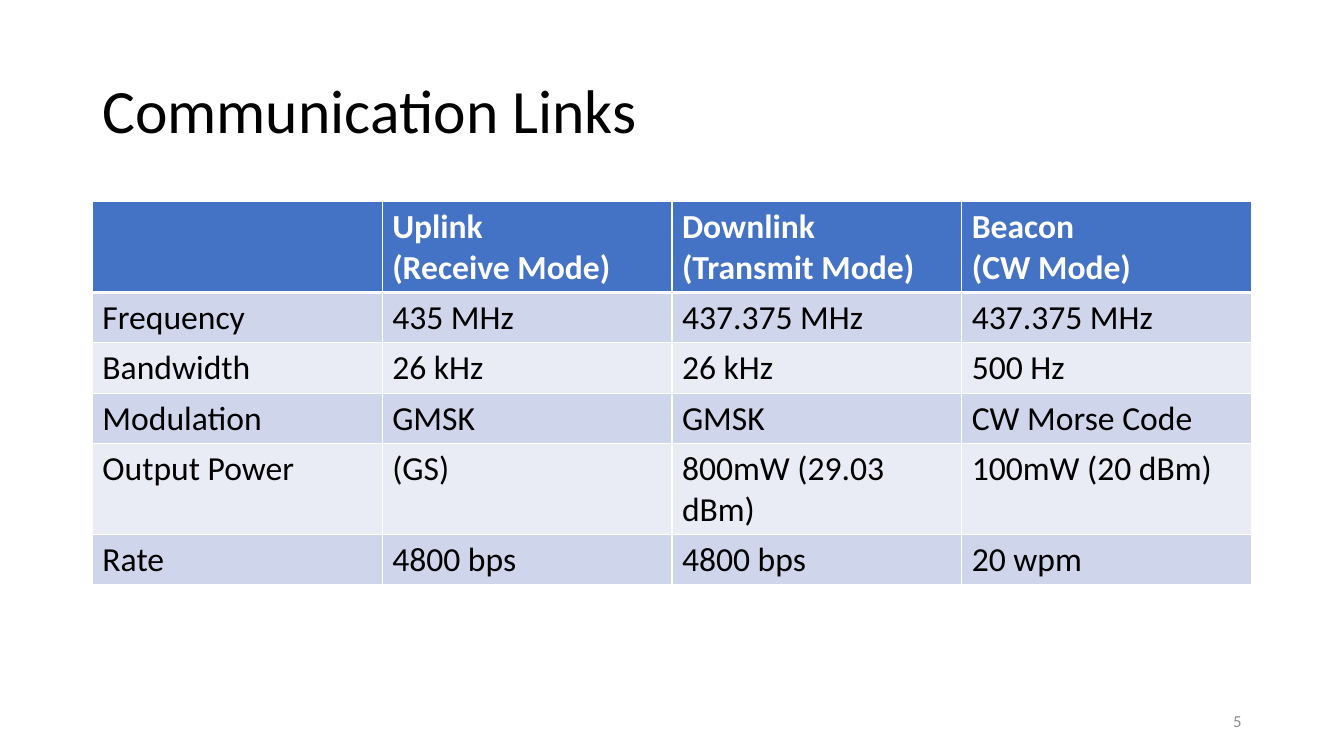
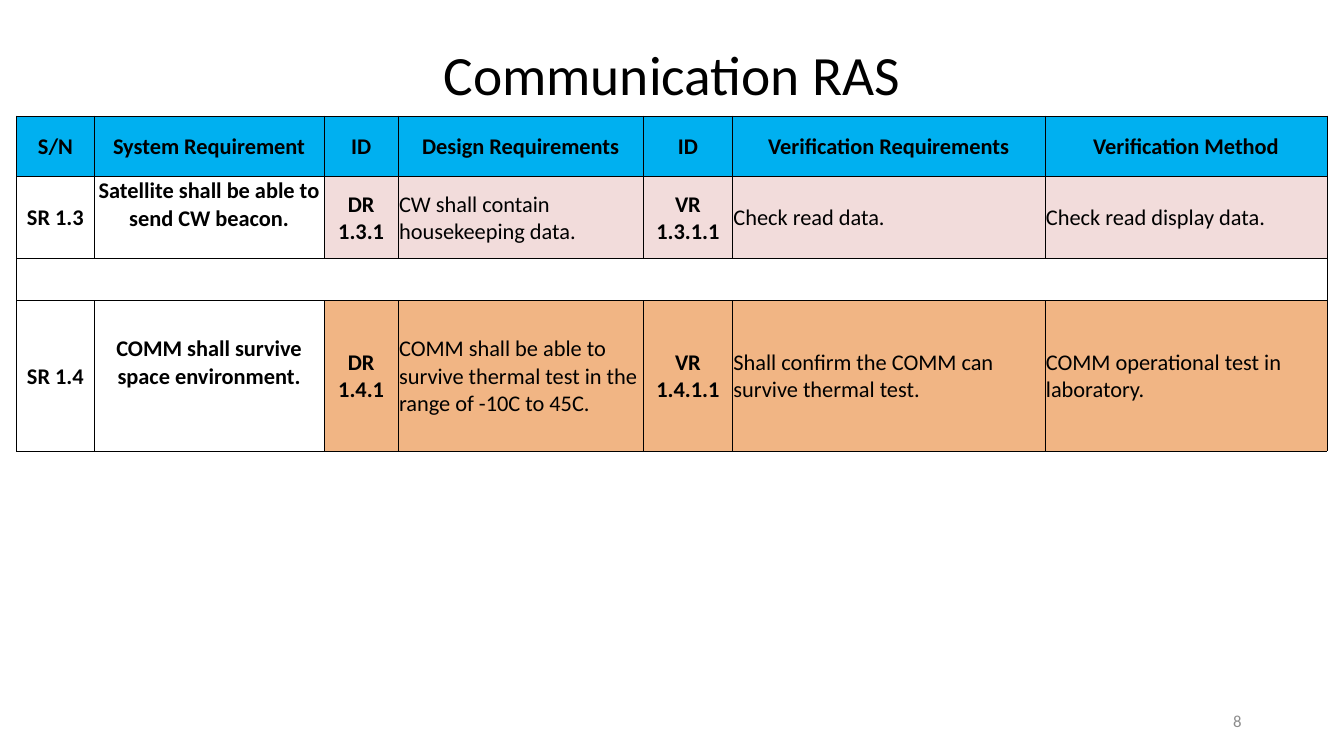
from dataclasses import dataclass

from lxml import etree
from pptx import Presentation
from pptx import util as u
from pptx.dml import color
from pptx.enum import text
from pptx.oxml import ns

LEFT, MID, RIGHT = text.PP_ALIGN.LEFT, text.PP_ALIGN.CENTER, text.PP_ALIGN.RIGHT


@dataclass(frozen=True)
class Theme:
    font: str = "Calibri"
    ink: str = "000000"
    paper: str = "FFFFFF"
    mute: str = "8C8C8C"
    blue: str = "4472C4"
    bands: tuple = ("CFD5EA", "E9EBF5")
    sky: str = "00B0F0"
    pink: str = "F2DCDB"
    rust: str = "E46C0A"
    head: float = 44
    slim: float = 39.6
    body: float = 24
    small: float = 16
    foot: float = 12


class Deck:
    cols, rows = 160, 90

    def __init__(self, theme):
        self.look = theme
        self.prs = Presentation()
        self.prs.slide_width = u.Inches(13.33)
        self.prs.slide_height = u.Inches(7.5)

    def wide(self, n):
        return round(self.prs.slide_width * n / self.cols)

    def high(self, n):
        return round(self.prs.slide_height * n / self.rows)

    def area(self, x, y, w, h):
        return self.wide(x), self.high(y), self.wide(w), self.high(h)

    def slide(self, num):
        self.page = self.prs.slides.add_slide(self.prs.slide_layouts[6])
        self.label(num, (113, 83.4, 36, 4.8), self.look.foot, self.look.mute, RIGHT)

    def style(self, frame, size, tint, align, bold=False):
        for para in frame.paragraphs:
            para.alignment = align
            for run in para.runs:
                font = run.font
                font.name, font.size, font.bold = self.look.font, u.Pt(size), bold
                font.color.rgb = color.RGBColor.from_string(tint)

    def label(self, words, box, size, tint, align):
        frame = self.page.shapes.add_textbox(*self.area(*box)).text_frame
        frame.word_wrap = True
        frame.vertical_anchor = text.MSO_ANCHOR.MIDDLE
        frame.text = words
        self.style(frame, size, tint, align)
        return frame

    def title(self, words, tall, size, align=LEFT):
        frame = self.label(words, (11, 4.8, 138, tall), size, self.look.ink, align)
        frame.paragraphs[0].line_spacing = 0.9

    def table(self, x, y, widths, heights):
        box = self.area(x, y, sum(widths), sum(heights))
        grid = self.page.shapes.add_table(len(heights), len(widths), *box).table
        grid.first_row = grid.horz_banding = False
        for col, w in zip(grid.columns, widths):
            col.width = self.wide(w)
        for row, h in zip(grid.rows, heights):
            row.height = self.high(h)
        return grid

    def cell(self, cell, words, fill, size, tint, align=LEFT, bold=False):
        cell.text = words
        self.style(cell.text_frame, size, tint, align, bold)
        cell.fill.solid()
        cell.fill.fore_color.rgb = color.RGBColor.from_string(fill)

    def fade(self, cell, share):
        tone = cell._tc.tcPr.find(".//" + ns.qn("a:srgbClr"))
        etree.SubElement(tone, ns.qn("a:alpha"), val=str(share * 1000))

    def edge(self, cell, tint, size, **sides):
        for spot, side in enumerate("LRTB"):
            line = etree.Element(ns.qn("a:ln" + side), w=str(u.Pt(sides.get(side, size))))
            fill = etree.SubElement(line, ns.qn("a:solidFill"))
            etree.SubElement(fill, ns.qn("a:srgbClr"), val=tint)
            cell._tc.tcPr.insert(spot, line)

    def inset(self, cell, foot=0):
        cell.vertical_anchor = text.MSO_ANCHOR.MIDDLE
        cell.margin_left = cell.margin_right = cell.margin_top = u.Inches(0.01)
        cell.margin_bottom = u.Inches(foot)


LINKS = (
    ("", "Uplink\n(Receive Mode)", "Downlink\n(Transmit Mode)", "Beacon\n(CW Mode)"),
    ("Frequency", "435 MHz", "437.375 MHz", "437.375 MHz"),
    ("Bandwidth", "26 kHz", "26 kHz", "500 Hz"),
    ("Modulation", "GMSK", "GMSK", "CW Morse Code"),
    ("Output Power", "(GS)", "800mW (29.03 dBm)", "100mW (20 dBm)"),
    ("Rate", "4800 bps", "4800 bps", "20 wpm"),
)

NEEDS = (
    ("S/N", "System Requirement", "ID", "Design Requirements", "ID",
     "Verification Requirements", "Verification Method"),
    ("SR 1.3", "Satellite shall be able to send CW beacon.", "DR\n1.3.1",
     "CW shall contain housekeeping data.", "VR\n1.3.1.1",
     "Check read data.", "Check read display data."),
    ("",) * 7,
    ("SR 1.4", "COMM shall survive space environment.", "DR\n1.4.1",
     "COMM shall be able to survive thermal test in the range of -10C to 45C.",
     "VR\n1.4.1.1", "Shall confirm the COMM can survive thermal test.",
     "COMM operational test in laboratory."),
)


def links(deck):
    look = deck.look
    deck.slide("5")
    deck.title("Communication Links", 17.4, look.head)
    grid = deck.table(11, 24, [34.5] * 4, [5] * len(LINKS))
    for r, row in enumerate(LINKS):
        top = r == 0
        fill = look.blue if top else look.bands[(r - 1) % 2]
        tint = look.paper if top else look.ink
        for c, words in enumerate(row):
            cell = grid.cell(r, c)
            deck.cell(cell, words, fill, look.body, tint, bold=top)
            deck.edge(cell, look.paper, 1, T=3 if r == 1 else 1, B=3 if top else 1)


def needs(deck):
    look = deck.look
    deck.slide("8")
    deck.title("Communication RAS", 8.9, look.slim, MID)
    widths = 9.2, 27.4, 8.8, 29.2, 10.6, 37.2, 33.6
    grid = deck.table(2, 13.8, widths, (7.2, 9.8, 5, 17.9))
    fills = look.sky, look.pink, look.paper, look.rust
    for r, row in enumerate(NEEDS):
        for c, words in enumerate(row):
            cell = grid.cell(r, c)
            bold = r == 0 or c in (0, 1, 2, 4)
            fill = look.paper if r and c < 2 else fills[r]
            deck.cell(cell, words, fill, look.small, look.ink, MID if bold else LEFT, bold)
            if fill == look.rust:
                deck.fade(cell, 50)
            if words:
                deck.inset(cell, 0.27 if r and c == 1 else 0)
            deck.edge(cell, look.ink, 0.5)
    grid.cell(2, 0).merge(grid.cell(2, 6))


def main():
    deck = Deck(Theme())
    links(deck)
    needs(deck)
    deck.prs.save("out.pptx")


if __name__ == "__main__":
    main()
